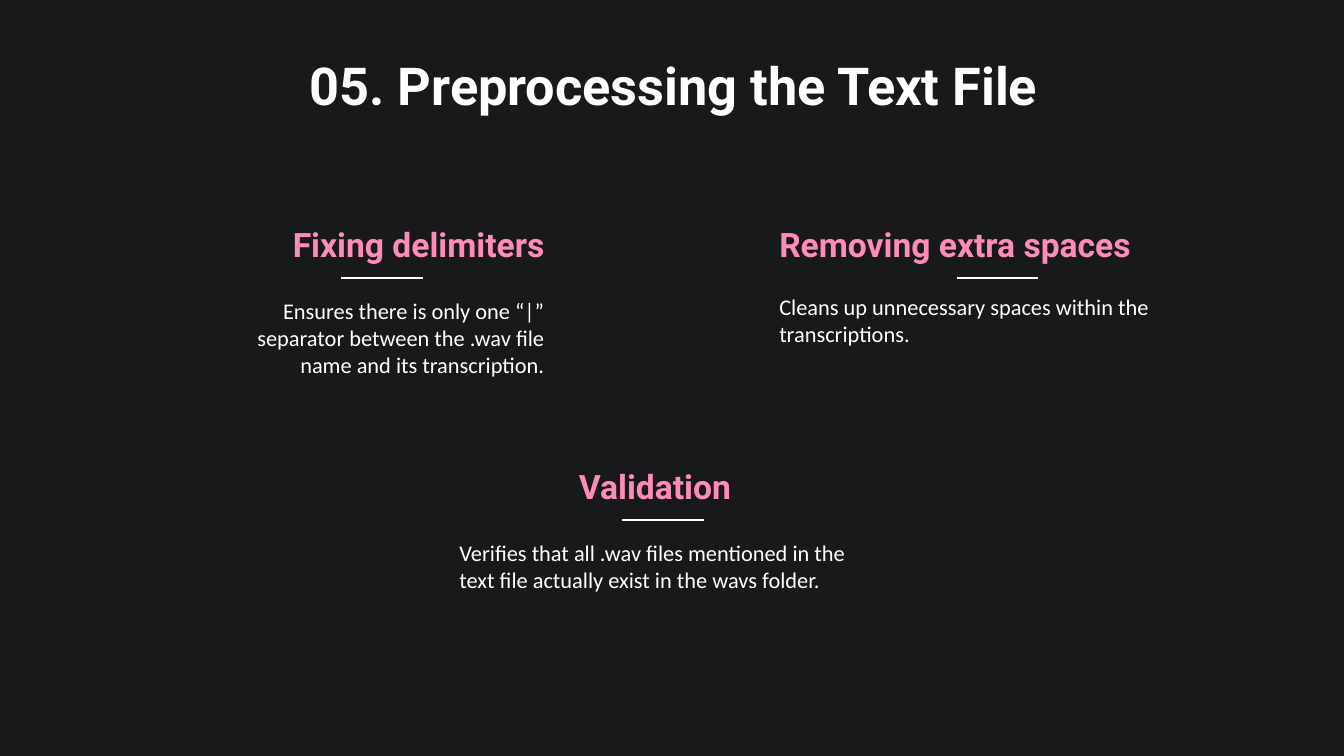
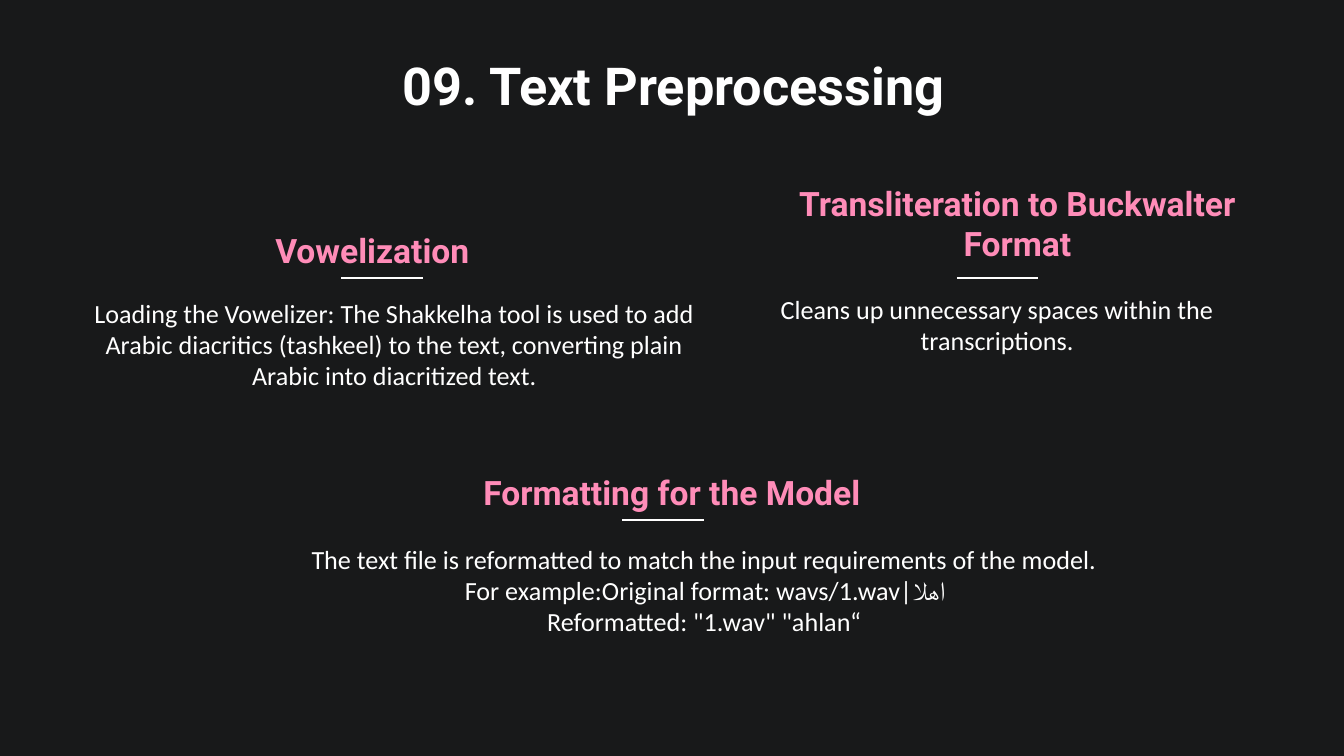
from typing import NamedTuple

import lxml.etree
import pptx
import pptx.dml.color
import pptx.enum.shapes
import pptx.enum.text
import pptx.oxml.ns
import pptx.util

RGBColor = pptx.dml.color.RGBColor
ALIGN = pptx.enum.text.PP_ALIGN
ANCHOR = pptx.enum.text.MSO_ANCHOR

DARK = RGBColor(0x18, 0x19, 0x1A)
WHITE = RGBColor(0xFF, 0xFF, 0xFF)
PINK = RGBColor(0xFF, 0x8C, 0xB8)

WIDTH = pptx.util.Inches(10)
HEIGHT = WIDTH * 9 // 16
UNIT = WIDTH / 100


class Box(NamedTuple):
    col: float
    row: float
    cols: float
    rows: float


class Style(NamedTuple):
    font: str
    size: int
    color: RGBColor
    bold: bool
    anchor: ANCHOR


class Text(NamedTuple):
    box: Box
    text: str
    align: ALIGN
    left: float = 0
    first: float = 0


class Topic(NamedTuple):
    head: Text
    body: Text


class Page(NamedTuple):
    title: str
    size: int
    topics: list[Topic]


class Rule(NamedTuple):
    col: float
    row: float


TITLE = Style("Roboto", 28, WHITE, True, ANCHOR.TOP)
HEAD = Style("Roboto", 18, PINK, True, ANCHOR.BOTTOM)
BODY = Style("Calibri", 12, WHITE, False, ANCHOR.TOP)

TOP = Box(8, 3, 84.2, 6.3)
SPAN = 6.05
RULES = [Rule(25.4, 20.7), Rule(46.3, 38.7), Rule(71.2, 20.7)]
ASIDE = Box(57, 20.8, 34.4, 7.3)
CLEAN = "Cleans up unnecessary spaces within the transcriptions."

PAGES = [
    Page("05. Preprocessing the Text File", 12, [
        Topic(
            Text(Box(4.7, 15.7, 36.8, 5), "Fixing delimiters",
                 ALIGN.RIGHT, 5, -3.3),
            Text(Box(14, 21.1, 27.5, 9),
                 "Ensures there is only one “|” separator between "
                 "the .wav file name and its transcription.",
                 ALIGN.RIGHT)),
        Topic(
            Text(Box(42.1, 33.7, 16.3, 5), "Validation", ALIGN.LEFT),
            Text(Box(31.5, 39.1, 35.3, 9),
                 "Verifies that all .wav files mentioned in the "
                 "text file actually exist in the wavs folder.",
                 ALIGN.LEFT, 1.7)),
        Topic(
            Text(Box(57, 15.7, 35.8, 5), "Removing extra spaces",
                 ALIGN.LEFT),
            Text(ASIDE, CLEAN, ALIGN.LEFT)),
    ]),
    Page("09. Text Preprocessing", 14, [
        Topic(
            Text(Box(17.8, 16.1, 21.9, 5), "Vowelization",
                 ALIGN.LEFT, 5, -3.3),
            Text(Box(4.7, 21.1, 49.3, 9),
                 "Loading the Vowelizer: The Shakkelha tool is used to "
                 "add Arabic diacritics (tashkeel) to the text, "
                 "converting plain Arabic into diacritized text.",
                 ALIGN.CENTER)),
        Topic(
            Text(Box(31.3, 34.1, 37.4, 5), "Formatting for the Model",
                 ALIGN.CENTER),
            Text(Box(17.8, 39.4, 67.5, 9),
                 "The text file is reformatted to match the input "
                 "requirements of the model.\n"
                 "For example:Original format: wavs/1.wav|اهلا\n"
                 "Reformatted: \"1.wav\" \"ahlan“",
                 ALIGN.CENTER, 1.7)),
        Topic(
            Text(Box(57, 13.3, 37.4, 7.3),
                 "Transliteration to Buckwalter Format", ALIGN.CENTER),
            Text(ASIDE, CLEAN, ALIGN.CENTER)),
    ]),
]


def grid(count: float) -> int:
    return round(count * UNIT)


def write(slide, item: Text, style: Style) -> None:
    shape = slide.shapes.add_textbox(*map(grid, item.box))
    frame = shape.text_frame
    frame.word_wrap = True
    frame.vertical_anchor = style.anchor
    frame.margin_left = frame.margin_right = grid(1)
    frame.margin_top = frame.margin_bottom = grid(1)
    frame.text = item.text
    for para in frame.paragraphs:
        para.alignment = item.align
        props = para._p.get_or_add_pPr()
        props.set("marL", str(grid(item.left)))
        props.set("indent", str(grid(item.first)))
        for run in para.runs:
            run.font.name = style.font
            run.font.size = pptx.util.Pt(style.size)
            run.font.bold = style.bold
            run.font.color.rgb = style.color


def draw(slide, rule: Rule) -> None:
    line = slide.shapes.add_connector(
        pptx.enum.shapes.MSO_CONNECTOR.STRAIGHT,
        grid(rule.col), grid(rule.row),
        grid(rule.col + SPAN), grid(rule.row))
    line.line.color.rgb = WHITE
    line.line.width = pptx.util.Pt(0.75)
    lxml.etree.SubElement(
        line._element.spPr, pptx.oxml.ns.qn("a:effectLst"))


def build(deck, page: Page) -> None:
    slide = deck.slides.add_slide(deck.slide_layouts[6])
    slide.background.fill.solid()
    slide.background.fill.fore_color.rgb = DARK
    body = BODY._replace(size=page.size)
    for topic in page.topics:
        write(slide, topic.body, body)
    for topic in page.topics:
        write(slide, topic.head, HEAD)
    for rule in RULES:
        draw(slide, rule)
    write(slide, Text(TOP, page.title, ALIGN.CENTER), TITLE)


def main() -> None:
    deck = pptx.Presentation()
    deck.slide_width = WIDTH
    deck.slide_height = HEIGHT
    for page in PAGES:
        build(deck, page)
    deck.save("out.pptx")


if __name__ == "__main__":
    main()
